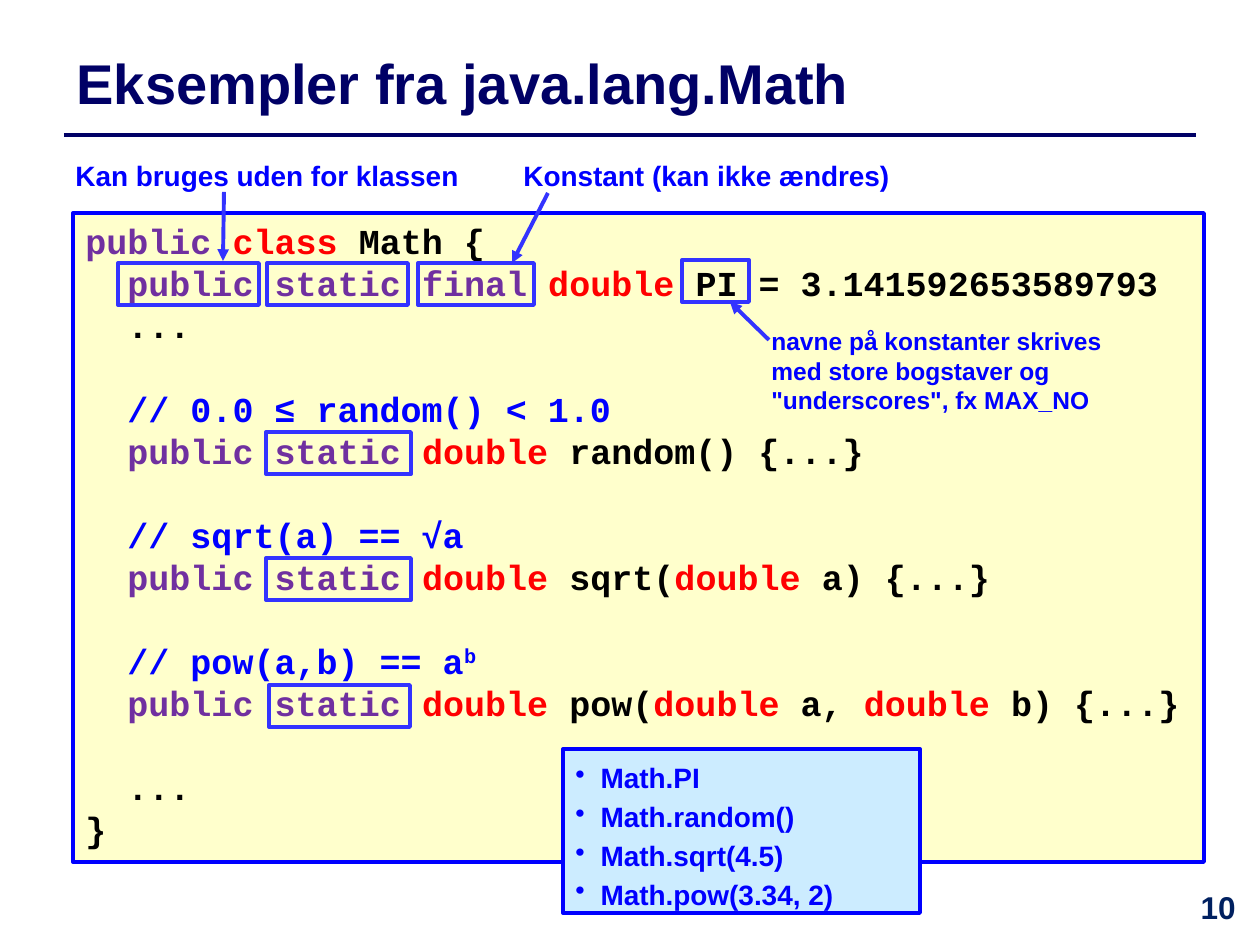
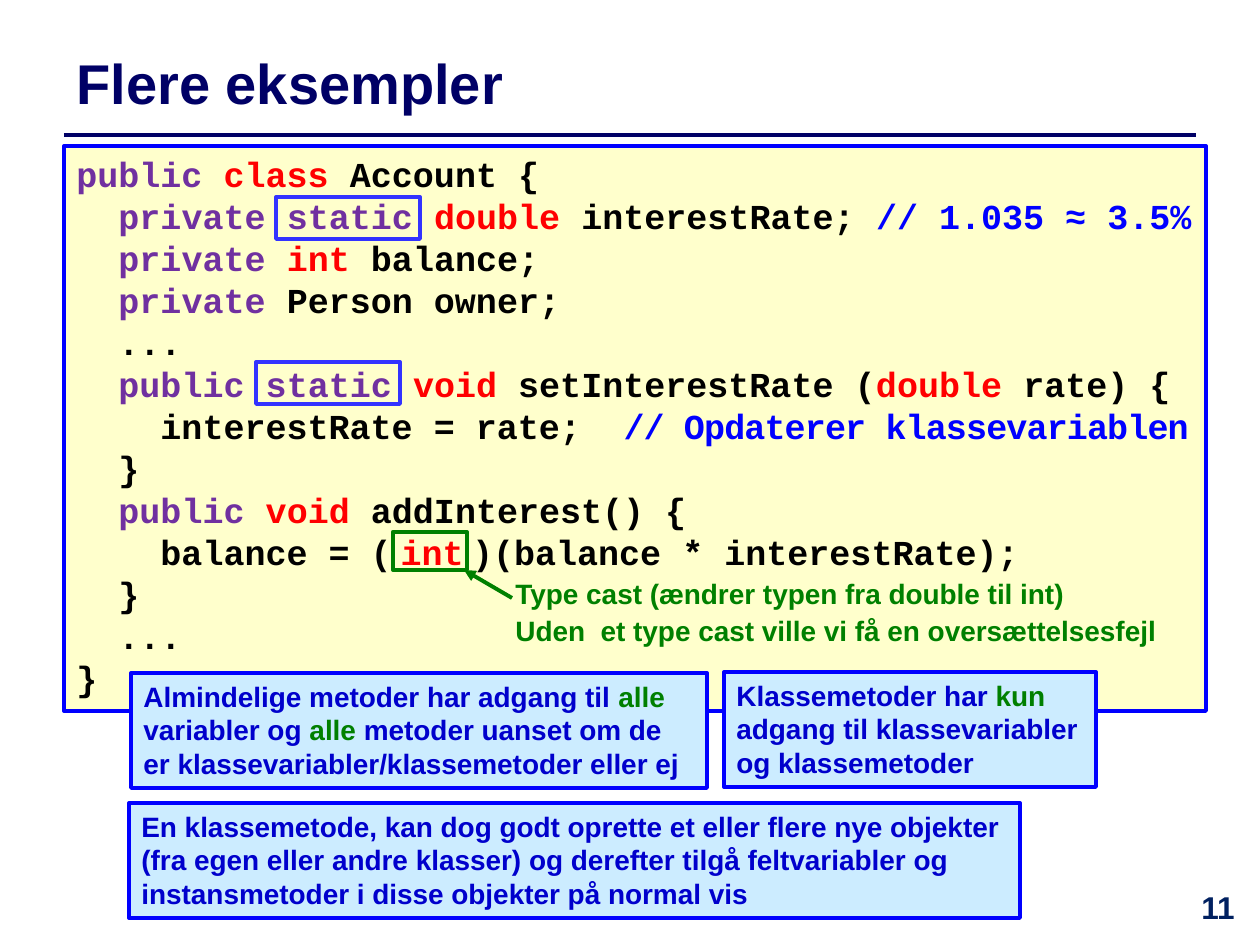
from itertools import groupby

from lxml.etree import SubElement
from pptx import Presentation
from pptx.dml.color import RGBColor
from pptx.enum.shapes import MSO_CONNECTOR, MSO_SHAPE
from pptx.enum.text import MSO_ANCHOR, MSO_AUTO_SIZE, PP_ALIGN
from pptx.oxml.ns import qn
from pptx.util import Inches, Pt

PX = Inches(1) / 126

NAVY = RGBColor(0x00, 0x00, 0x66)
NUMBER_BLUE = RGBColor(0x00, 0x20, 0x60)
BLUE = RGBColor(0x00, 0x00, 0xFF)
NOTE_BLUE = RGBColor(0x00, 0x00, 0xCC)
MARK_BLUE = RGBColor(0x33, 0x33, 0xFF)
GREEN = RGBColor(0x00, 0x80, 0x00)
PURPLE = RGBColor(0x70, 0x30, 0xA0)
RED = RGBColor(0xFF, 0x00, 0x00)
BLACK = RGBColor(0x00, 0x00, 0x00)
CODE_FILL = RGBColor(0xFF, 0xFF, 0xCC)
NOTE_FILL = RGBColor(0xCC, 0xEC, 0xFF)

TEXT_FONT, CODE_FONT = "Arial", "Courier New"
TITLE_BOX = (64, 35, 1131, 95)
NUMBER_BOX = (1176, 882, 84, 63)
RULE = (64, 135, 1196, 135)

KEYWORD_COLORS = {
    **dict.fromkeys(("public", "private", "static", "final"), PURPLE),
    **dict.fromkeys(("class", "double", "int", "void"), RED),
}
NARROW_SPACE = "~"  # a space set in 8 points
SUPERSCRIPT = "^"  # raises the rest of a comment
TIGHT_COMMENT = "// Opdaterer klassevariablen"

MATH_CODE = """\
public class Math {
  public static final double PI = 3.141592653589793
  ...

  // 0.0 ≤ random() < 1.0
  public static double random() {...}

  // sqrt(a) == √a
  public static double sqrt(double a) {...}

  // pow(a,b) == a^b
  public static double pow(double a, double b) {...}

  ...
}"""

ACCOUNT_CODE = """\
public class Account {
  private static double interestRate; // 1.035 ≈ 3.5%
  private int balance;
  private Person owner;
  ...
  public static void setInterestRate (double rate) {
    interestRate = rate;  // Opdaterer klassevariablen
  }
  public void addInterest() {
    balance = (~int~)(balance * interestRate);
  }
  ...
}"""

# Boxes are (left, top, width, height); arrows are (from x, from y, to x, to y).
# In notes, *words* between asterisks are green.
SLIDES = [
    {
        "title": "Eksempler fra java.lang.Math",
        "number": 10,
        "code": (MATH_CODE, (73, 213, 1131, 649)),
        "marks": [
            ((118, 263, 141, 42), MARK_BLUE),
            ((267, 263, 141, 42), MARK_BLUE),
            ((418, 263, 116, 42), MARK_BLUE),
            ((682, 260, 67, 42), MARK_BLUE),
            ((266, 432, 145, 42), MARK_BLUE),
            ((266, 558, 145, 42), MARK_BLUE),
            ((269, 685, 141, 42), MARK_BLUE),
        ],
        "labels": [
            (["Kan bruges uden for klassen"], (63, 152, 420, 47), 16, BLUE),
            (["Konstant (kan ikke ændres)"], (511, 152, 407, 47), 16, BLUE),
            (['navne på konstanter skrives med store bogstaver og "underscores", fx MAX_NO'],
             (759, 320, 407, 102), 14, BLUE),
        ],
        "arrows": [
            ((224, 192, 223, 261), MARK_BLUE),
            ((548, 193, 512, 263), MARK_BLUE),
            ((769, 340, 730, 302), MARK_BLUE),
        ],
        "notes": [],
        "bullets": (["Math.PI", "Math.random()", "Math.sqrt(4.5)", "Math.pow(3.34, 2)"],
                    (563, 749, 357, 164)),
    },
    {
        "title": "Flere eksempler",
        "number": 11,
        "code": (ACCOUNT_CODE, (64, 146, 1142, 565)),
        "marks": [
            ((276, 197, 144, 42), MARK_BLUE),
            ((256, 362, 144, 42), MARK_BLUE),
            ((393, 532, 74, 38), GREEN),
        ],
        "labels": [
            (["Type cast (ændrer typen fra double til int)",
              "Uden  et type cast ville vi få en oversættelsesfejl"],
             (503, 570, 725, 84), 16, GREEN),
        ],
        "arrows": [((512, 598, 464, 570), GREEN)],
        "notes": [
            ("Klassemetoder har *kun* adgang til klassevariabler og klassemetoder",
             (724, 672, 372, 115)),
            ("Almindelige metoder har adgang til *alle* variabler og *alle* metoder "
             "uanset om de er klassevariabler/klassemetoder eller ej",
             (131, 673, 576, 115)),
            ("En klassemetode, kan dog godt oprette et eller flere nye objekter (fra egen "
             "eller andre klasser) og derefter tilgå feltvariabler og instansmetoder i "
             "disse objekter på normal vis",
             (129, 803, 891, 115)),
        ],
        "bullets": None,
    },
]


def emu(lengths):
    return [round(length * PX) for length in lengths]


def style(paragraph, size, color, font=TEXT_FONT):
    paragraph.font.name = font
    paragraph.font.size = Pt(size)
    paragraph.font.bold = True
    paragraph.font.color.rgb = color


def style_body(paragraph, size, color, font=TEXT_FONT):
    paragraph.alignment = PP_ALIGN.LEFT
    paragraph.line_spacing = Pt(1.2 * size)
    style(paragraph, size, color, font)


def add_paragraphs(frame, count):
    """Return count paragraphs, the first being the one the frame already has."""
    return [frame.paragraphs[0]] + [frame.add_paragraph() for _ in range(count - 1)]


def add_run(paragraph, text, color=None):
    run = paragraph.add_run()
    run.text = text
    if color is not None:
        run.font.color.rgb = color
    return run


def add_box(slide, box, line_color, fill=None):
    shape = slide.shapes.add_shape(MSO_SHAPE.RECTANGLE, *emu(box))
    shape.shadow.inherit = False
    shape.line.color.rgb = line_color
    shape.line.width = Pt(2.25)
    if fill is None:
        shape.fill.background()
    else:
        shape.fill.solid()
        shape.fill.fore_color.rgb = fill
    shape.text_frame.word_wrap = True
    shape.text_frame.vertical_anchor = MSO_ANCHOR.TOP
    return shape


def add_text_box(slide, box):
    frame = slide.shapes.add_textbox(*emu(box)).text_frame
    frame.word_wrap = True
    return frame


def add_line(slide, ends, color, width, arrow=False):
    connector = slide.shapes.add_connector(MSO_CONNECTOR.STRAIGHT, *emu(ends))
    connector.line.color.rgb = color
    connector.line.width = Pt(width)
    if arrow:
        SubElement(connector.line._get_or_add_ln(), qn("a:tailEnd"), type="triangle")
    SubElement(connector._element.spPr, qn("a:effectLst"))


def character_kind(character):
    if character == NARROW_SPACE:
        return "narrow"
    return "word" if character.isalnum() else "other"


def write_code_line(paragraph, line):
    """Colour keywords and the comment of one line of code."""
    statement, slashes, comment = line.partition("//")
    for kind, characters in groupby(statement, character_kind):
        token = "".join(characters)
        if kind == "narrow":
            add_run(paragraph, " ").font.size = Pt(8)
        else:
            add_run(paragraph, token, KEYWORD_COLORS.get(token))
    if slashes:
        base, _, exponent = (slashes + comment).partition(SUPERSCRIPT)
        run = add_run(paragraph, base, BLUE)
        if base == TIGHT_COMMENT:
            run._r.get_or_add_rPr().set("spc", "-50")
        if exponent:
            raised = add_run(paragraph, exponent, BLUE)
            raised._r.get_or_add_rPr().set("baseline", "30000")


def add_code(slide, code, box):
    lines = code.splitlines()
    frame = add_box(slide, box, BLUE, CODE_FILL).text_frame
    for paragraph, line in zip(add_paragraphs(frame, len(lines)), lines):
        style_body(paragraph, 20, BLACK, CODE_FONT)
        write_code_line(paragraph, line)


def add_label(slide, texts, box, size, color):
    paragraphs = add_paragraphs(add_text_box(slide, box), len(texts))
    for index, (paragraph, text) in enumerate(zip(paragraphs, texts)):
        paragraph.text = text
        style_body(paragraph, size, color)
        if index:
            paragraph.space_before = Pt(2)


def add_note(slide, text, box):
    paragraph = add_box(slide, box, BLUE, NOTE_FILL).text_frame.paragraphs[0]
    style_body(paragraph, 16, NOTE_BLUE)
    for index, part in enumerate(text.split("*")):
        add_run(paragraph, part, GREEN if index % 2 else None)


def add_bullets(slide, items, box):
    frame = add_box(slide, box, BLUE, NOTE_FILL).text_frame
    frame.margin_top = round(12 * PX)
    indent = Inches(0.2)
    for index, (paragraph, item) in enumerate(zip(add_paragraphs(frame, len(items)), items)):
        paragraph.text = item
        properties = paragraph._p.get_or_add_pPr()
        properties.set("marL", str(indent))
        properties.set("indent", str(-indent))
        SubElement(properties, qn("a:buChar"), char="•")
        style_body(paragraph, 16, BLUE)
        if index:
            paragraph.space_before = Pt(3)


def add_frame(slide, title_text, number):
    """Add what every slide shares: title, rule and slide number."""
    add_line(slide, RULE, NAVY, 2)
    title = slide.shapes.title
    title.left, title.top, title.width, title.height = emu(TITLE_BOX)
    title.text_frame.text = title_text
    title.text_frame.auto_size = MSO_AUTO_SIZE.NONE
    title.text_frame.vertical_anchor = MSO_ANCHOR.MIDDLE
    heading = title.text_frame.paragraphs[0]
    heading.alignment = PP_ALIGN.LEFT
    style(heading, 32, NAVY)
    paragraph = add_text_box(slide, NUMBER_BOX).paragraphs[0]
    paragraph.text = str(number)
    style_body(paragraph, 18, NUMBER_BLUE)
    paragraph.alignment = PP_ALIGN.CENTER


def main():
    presentation = Presentation()
    presentation.slide_width, presentation.slide_height = Inches(10), Inches(7.5)
    title_only = presentation.slide_layouts.get_by_name("Title Only")
    for content in SLIDES:
        slide = presentation.slides.add_slide(title_only)
        add_frame(slide, content["title"], content["number"])
        add_code(slide, *content["code"])
        for box, color in content["marks"]:
            add_box(slide, box, color)
        for label in content["labels"]:
            add_label(slide, *label)
        for ends, color in content["arrows"]:
            add_line(slide, ends, color, 2.25, arrow=True)
        for note in content["notes"]:
            add_note(slide, *note)
        if content["bullets"]:
            add_bullets(slide, *content["bullets"])
    presentation.save("out.pptx")


if __name__ == "__main__":
    main()
